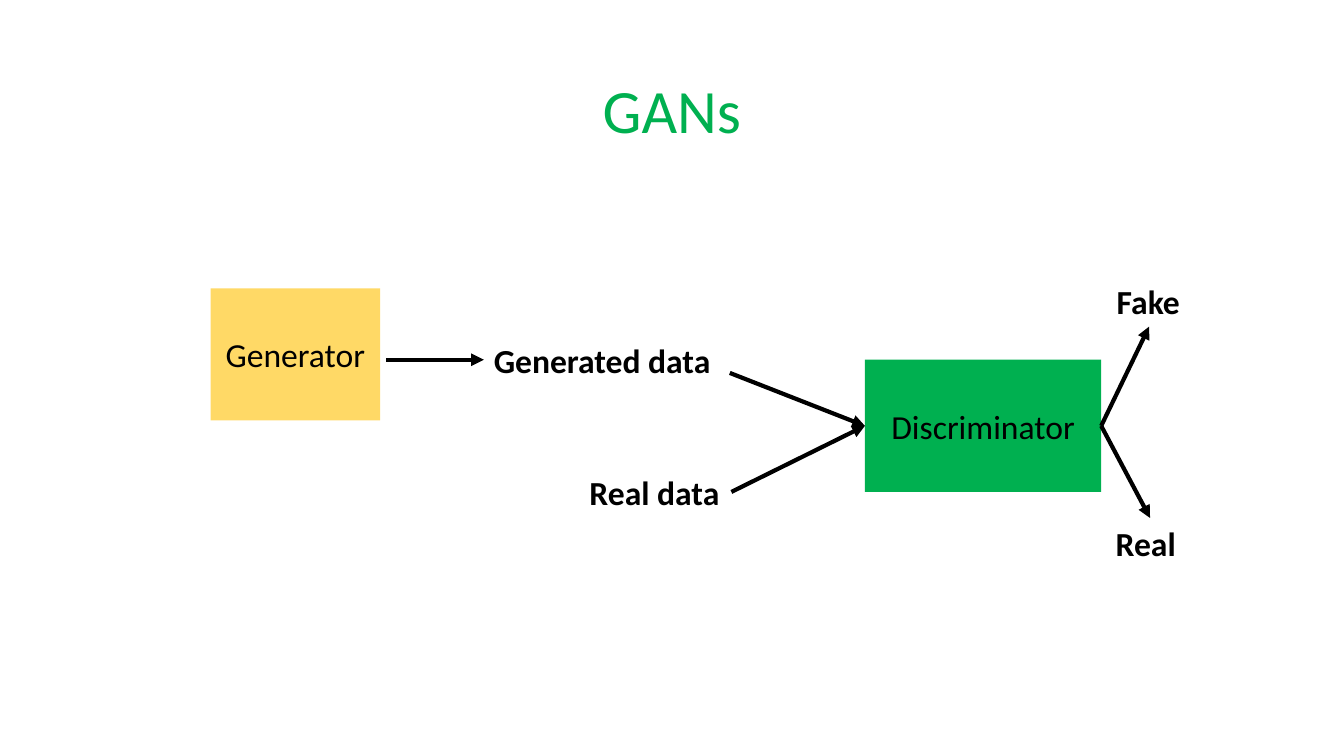
"""Build a slide showing how a GAN's generator and discriminator connect."""
from lxml import etree
from pptx import Presentation
from pptx.dml.color import RGBColor
from pptx.enum import shapes, text
from pptx.oxml import ns
from pptx.util import Pt

FONT = "Calibri"
BLACK, GREEN, YELLOW = "000000", "00B050", "FFD966"
TOP, LEFT, BOTTOM, RIGHT = range(4)

TITLE = ("GANs", (66, 28.8, 828, 104.4))
BOXES = [
    ("Generator", YELLOW, (150.5, 206, 121, 94.4)),
    ("Discriminator", GREEN, (617.8, 257, 168.8, 94.4)),
]
LABELS = [
    ("Generated data", (345.6, 239, 171.4, 36)),
    ("Real data", (414, 333.4, 108.4, 36)),
    ("Fake", (790.6, 197.3, 60.5, 36)),
    ("Real", (789.8, 370, 58.3, 36)),
]
ARROWS = [
    ((275.8, 257), ("Generated data", LEFT)),
    ((521.3, 266.4), ("Discriminator", LEFT)),
    (("Real data", RIGHT), ("Discriminator", LEFT)),
    (("Discriminator", RIGHT), ("Fake", BOTTOM)),
    (("Discriminator", RIGHT), (821.5, 370)),
]


def rgb(code):
    return RGBColor.from_string(code)


def points(values):
    return [Pt(v) for v in values]


def write(tf, words, size, color=BLACK, bold=False, align=None):
    p = tf.paragraphs[0]
    p.alignment = align
    r = p.add_run()
    r.text = words
    r.font.name = FONT
    r.font.size = Pt(size)
    r.font.bold = bold
    r.font.color.rgb = rgb(color)


def add_title(s):
    words, place = TITLE
    sp = s.shapes.title
    sp.left, sp.top, sp.width, sp.height = points(place)
    sp.text_frame.vertical_anchor = text.MSO_ANCHOR.MIDDLE
    write(sp.text_frame, words, 44, GREEN, align=text.PP_ALIGN.CENTER)
    sp.text_frame.paragraphs[0].line_spacing = 0.9


def add_box(s, words, fill, place):
    sp = s.shapes.add_shape(shapes.MSO_SHAPE.RECTANGLE, *points(place))
    sp.shadow.inherit = False
    sp.fill.solid()
    sp.fill.fore_color.rgb = rgb(fill)
    sp.line.fill.background()
    sp.text_frame.vertical_anchor = text.MSO_ANCHOR.MIDDLE
    write(sp.text_frame, words, 24, align=text.PP_ALIGN.CENTER)
    return sp


def add_label(s, words, place):
    sp = s.shapes.add_textbox(*points(place))
    sp.text_frame.word_wrap = False
    sp.text_frame.auto_size = text.MSO_AUTO_SIZE.SHAPE_TO_FIT_TEXT
    write(sp.text_frame, words, 24, bold=True)
    return sp


def add_arrow(s, parts, start, end):
    line = s.shapes.add_connector(shapes.MSO_CONNECTOR.STRAIGHT, 0, 0, 0, 0)
    if start[0] in parts:
        line.begin_connect(parts[start[0]], start[1])
    else:
        line.begin_x, line.begin_y = points(start)
    if end[0] in parts:
        line.end_connect(parts[end[0]], end[1])
    else:
        line.end_x, line.end_y = points(end)
    line.line.color.rgb = rgb(BLACK)
    line.line.width = Pt(3)
    etree.SubElement(line.line._get_or_add_ln(), ns.qn("a:tailEnd"), type="triangle")
    etree.SubElement(line._element.spPr, ns.qn("a:effectLst"))


def main():
    prs = Presentation()
    prs.slide_width, prs.slide_height = points((960, 540))
    s = prs.slides.add_slide(prs.slide_layouts[5])
    add_title(s)
    parts = {box[0]: add_box(s, *box) for box in BOXES}
    parts.update({label[0]: add_label(s, *label) for label in LABELS})
    for start, end in ARROWS:
        add_arrow(s, parts, start, end)
    prs.save("out.pptx")


if __name__ == "__main__":
    main()
